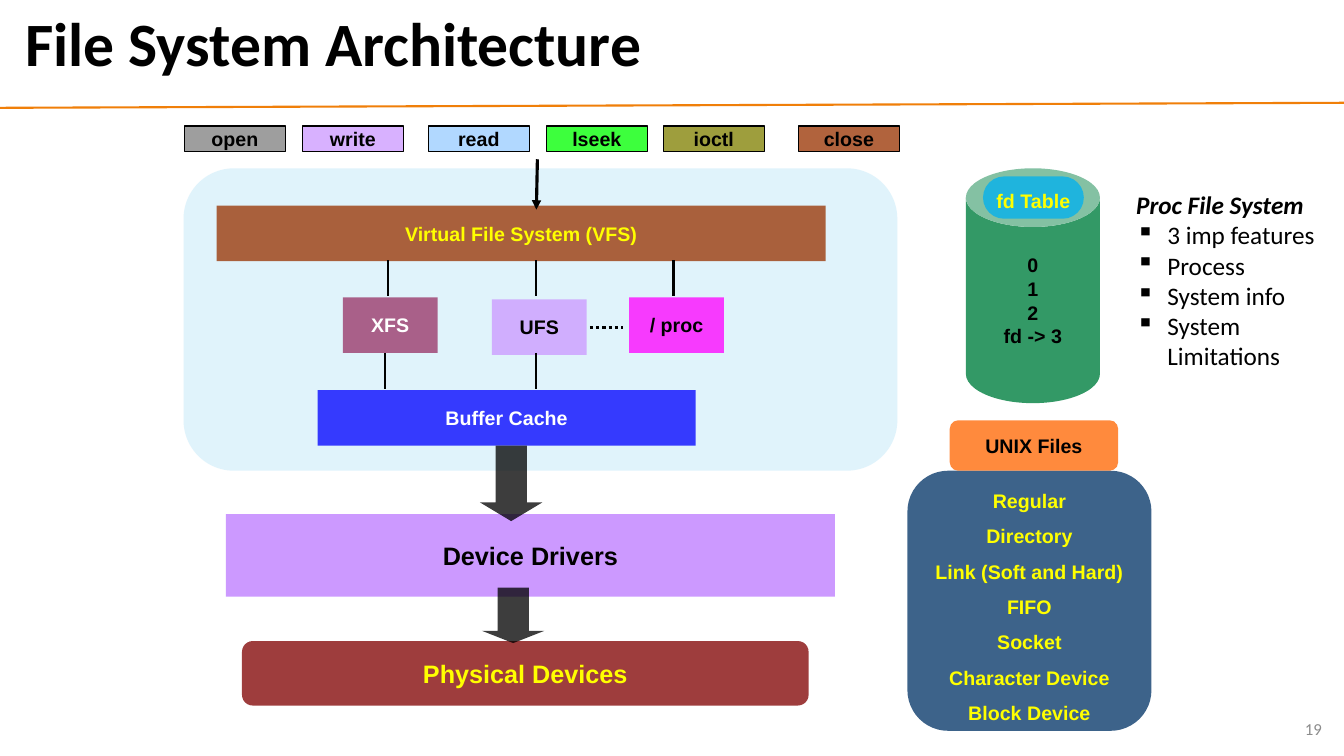
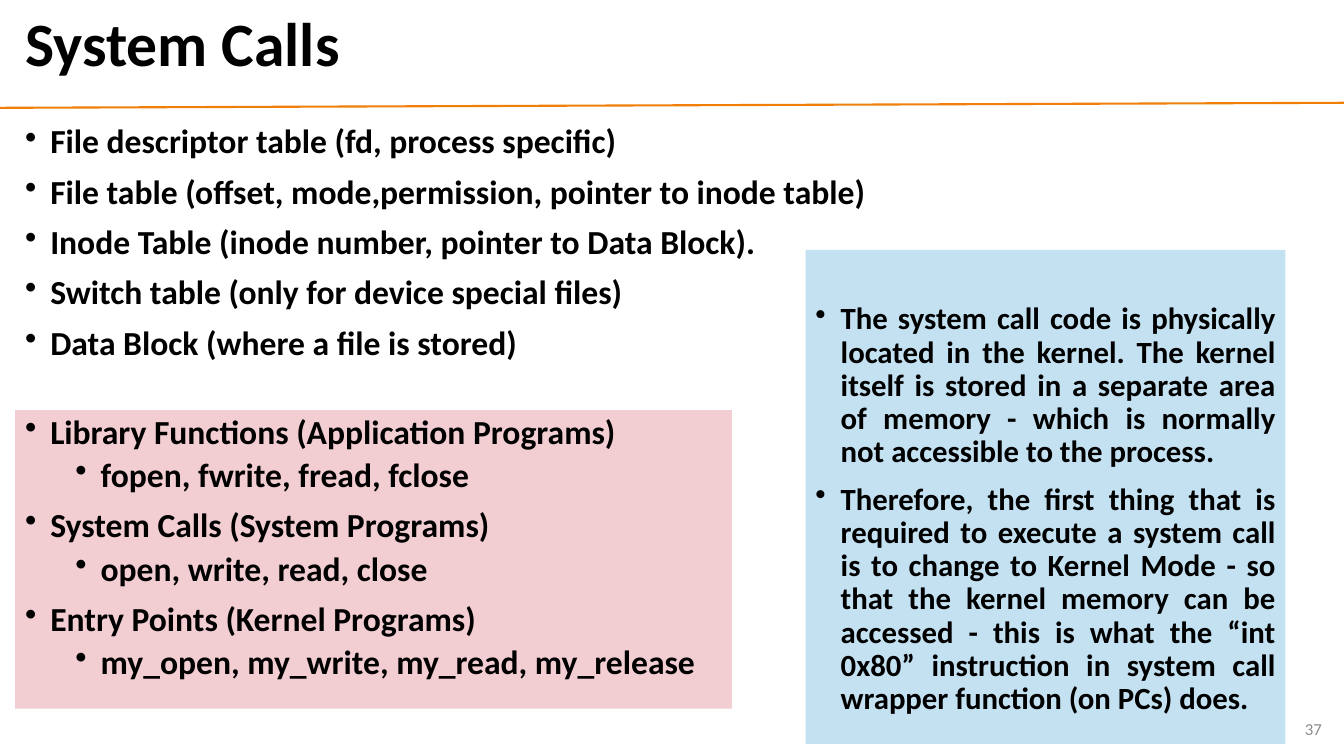
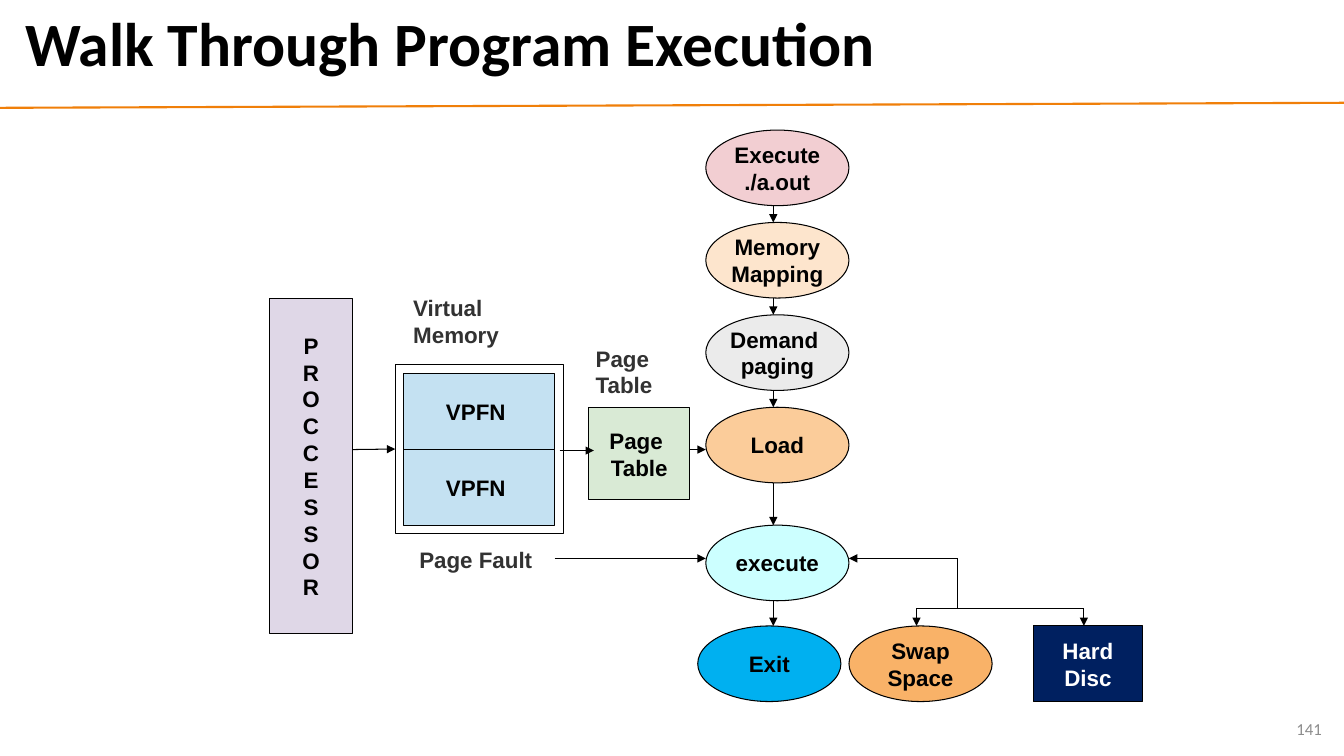
"""Builds three slides on file systems, system calls and program execution."""
from lxml import etree
from pptx import Presentation
from pptx.dml.color import RGBColor
from pptx.enum.dml import MSO_LINE
from pptx.enum.shapes import MSO_CONNECTOR, MSO_SHAPE
from pptx.enum.text import MSO_ANCHOR, MSO_AUTO_SIZE, PP_ALIGN
from pptx.oxml.ns import qn
from pptx.util import Inches, Pt

RECT, ROUND, OVAL = MSO_SHAPE.RECTANGLE, MSO_SHAPE.ROUNDED_RECTANGLE, MSO_SHAPE.OVAL
CAN, DOWN = MSO_SHAPE.CAN, MSO_SHAPE.DOWN_ARROW
STRAIGHT = MSO_CONNECTOR.STRAIGHT
LEFT, CENTER, RIGHT, JUSTIFY = PP_ALIGN.LEFT, PP_ALIGN.CENTER, PP_ALIGN.RIGHT, PP_ALIGN.JUSTIFY
TOP, MIDDLE = MSO_ANCHOR.TOP, MSO_ANCHOR.MIDDLE
NO_FIT = MSO_AUTO_SIZE.NONE
DOTTED = MSO_LINE.ROUND_DOT

WIDTH, HEIGHT = 13.33, 7.5
SEE_THROUGH = 76
COLORS = {
    "black": "000000", "white": "FFFFFF", "yellow": "FFFF00", "rule": "F07F09",
    "number": "8C8C8C", "label": "323232", "pale": "D7F0FB", "lilac": "CC99FF",
    "maroon": "800000", "brown": "993300", "blue": "0000FF", "plum": "993366",
    "magenta": "FF00FF", "navy": "003366", "orange": "FF6600", "green": "339966",
    "cyan": "00B0F0", "gray": "808080", "sky": "99CCFF", "lime": "00FF00",
    "olive": "808000", "rose": "F2CED2", "ice": "C4E1F2", "cream": "FDE5CD",
    "silver": "EBEBEB", "peach": "FBCC9A", "mint": "D9EAD5", "mauve": "DFD7E7",
    "aqua": "CCFFFF", "apricot": "F9B268", "midnight": "002060",
}

CALLS = [("open", 1.83, "gray"), ("write", 3, "lilac"), ("read", 4.25, "sky"),
         ("lseek", 5.42, "lime"), ("ioctl", 6.58, "olive"), ("close", 7.92, "brown")]
LAYERS = [
    (ROUND, (1.82, 1.67, 7.08, 3), "pale", SEE_THROUGH, None, None, 14),
    (RECT, (2.24, 5.1, 6.04, 0.82), "lilac", 100, "Device Drivers", "black", 18),
    (ROUND, (2.4, 6.36, 5.62, 0.64), "maroon", SEE_THROUGH, "Physical Devices", "yellow", 18),
    (RECT, (2.15, 2.04, 6.04, 0.55), "brown", SEE_THROUGH, "Virtual File System (VFS)", "yellow", 14),
    (RECT, (3.15, 3.87, 3.75, 0.55), "blue", SEE_THROUGH, "Buffer Cache", "white", 14),
    (RECT, (3.4, 2.95, 0.94, 0.55), "plum", SEE_THROUGH, "XFS", "white", 14),
    (RECT, (4.88, 2.97, 0.94, 0.55), "lilac", SEE_THROUGH, "UFS", "black", 14),
    (RECT, (6.24, 2.95, 0.94, 0.55), "magenta", SEE_THROUGH, "/ proc", "black", 14),
]
DOWN_ARROWS = [((4.76, 4.42, 0.62, 0.75), 0.3), ((4.78, 5.83, 0.62, 0.55), 0.25)]
LINKS = [((2.58, 2.94), (3.85, 5.32, 6.68)), ((3.5, 3.86), (3.82, 5.32))]
DESCRIPTORS = ["0", "1", "2", "fd -> 3"]
FILE_TYPES = ["Regular", "Directory", "Link (Soft and Hard)", "FIFO", "Socket",
              "Character Device", "Block Device"]
PROC_HEADING = "Proc File System"
PROC_FEATURES = ["3 imp features", "Process", "System info", "System Limitations"]

TABLES = [
    "File descriptor table (fd, process specific)",
    "File table (offset, mode,permission, pointer to inode table)",
    "Inode Table (inode number, pointer to Data Block).",
    "Switch table (only for device special files)",
    "Data Block (where a file is stored)",
]
FUNCTION_LEVELS = [
    ("Library Functions (Application Programs)", "fopen, fwrite, fread, fclose"),
    ("System Calls (System Programs)", "open, write, read, close"),
    ("Entry Points (Kernel Programs)", "my_open, my_write, my_read, my_release"),
]
KERNEL_NOTES = [
    "The system call code is physically located in the kernel. The kernel itself is stored "
    "in a separate area of memory - which is normally not accessible to the process.",
    "Therefore, the first thing that is required to execute a system call is to change to "
    "Kernel Mode - so that the kernel memory can be accessed - this is what the “int 0x80” "
    "instruction in system call wrapper function (on PCs) does.",
]

STAGE_W, STAGE_H, STAGE_X, STAGE_STEP = 1.42, 0.75, 7, 11 / 12
STAGES = [(["Execute", "./a.out"], "rose"), (["Memory", "Mapping"], "cream"),
          (["Demand ", "paging"], "silver"), (["Load"], "peach"),
          (["execute"], "aqua"), (["Exit"], "cyan")]
STAGE_TOPS = [1.29 + STAGE_STEP * row for row in range(4)] + [5.21, 6.21]
STAGE_LEFTS = [STAGE_X] * 5 + [6.92]
MEMORY_PARTS = [
    (RECT, (5.84, 4.04, 1, 0.92), "mint", ["Page ", "Table"], "black"),
    (RECT, (4, 3.71, 1.5, 0.75), "ice", ["VPFN "], "black"),
    (RECT, (4, 4.46, 1.5, 0.75), "ice", ["VPFN "], "black"),
    (RECT, (2.67, 2.96, 0.83, 3.33), "mauve", list("PROCCESSOR"), "black"),
    (OVAL, (8.42, 6.21, STAGE_W, STAGE_H), "apricot", ["Swap", "Space"], "black"),
    (RECT, (10.25, 6.21, 1.08, 0.75), "midnight", ["Hard", "Disc"], "white"),
]
MEMORY_LABELS = [((4, 2.87, 1.58, 0.64), ["Virtual", "Memory"]),
                 ((5.81, 3.37, 1.52, 0.64), ["Page", "Table"]),
                 ((4.06, 5.37, 1.52, 0.36), ["Page Fault"])]
FLOWS = [((5.55, 4.47), (5.89, 4.47), True), ((6.84, 4.46), (7, 4.46), True),
         ((5.5, 5.54), (7, 5.54), True), ((9.5, 5.54), (8.42, 5.54), True),
         ((9.5, 5.54), (9.5, 6.04), False), ((9.09, 6.04), (10.75, 6.04), False),
         ((9.09, 6.04), (9.09, 6.21), True), ((10.75, 6.04), (10.75, 6.21), True)]


def rgb(color):
    return RGBColor.from_string(COLORS[color])


def add_bullet(paragraph, char, left, hanging):
    properties = paragraph._p.get_or_add_pPr()
    properties.set("marL", str(Inches(left)))
    properties.set("indent", str(-Inches(hanging)))
    etree.SubElement(properties, qn("a:buChar")).set("char", char)


def write(shape, lines, anchor=MIDDLE, wrap=False, top_inset=0.05, **shared):
    """Fills a shape with lines, each a string or a (string, format) pair."""
    frame = shape.text_frame
    frame.auto_size = NO_FIT
    frame.word_wrap = wrap
    frame.vertical_anchor = anchor
    frame.margin_top = Inches(top_inset)
    for index, line in enumerate(lines):
        content, own = (line, {}) if isinstance(line, str) else line
        style = {"size": 14, "color": "black", "font": "Arial", "bold": True, "italic": False,
                 "align": CENTER, "spacing": 1.0, "before": 0, "level": 0, "bullet": None,
                 **shared, **own}
        paragraph = frame.paragraphs[0] if index == 0 else frame.add_paragraph()
        paragraph.level = style["level"]
        if style["bullet"]:
            add_bullet(paragraph, *style["bullet"])
        paragraph.alignment = style["align"]
        paragraph.line_spacing = style["spacing"]
        paragraph.space_before = Pt(style["before"] if index else 0)
        run = paragraph.add_run()
        run.text = content
        run.font.name, run.font.size = style["font"], Pt(style["size"])
        run.font.bold, run.font.italic = style["bold"], style["italic"]
        run.font.color.rgb = rgb(style["color"])


def add_block(slide, kind, box, fill=None, opacity=100, outline=False, adjust=()):
    block = slide.shapes.add_shape(kind, *map(Inches, box))
    block.shadow.inherit = False
    for index, value in enumerate(adjust):
        block.adjustments[index] = value
    if fill:
        block.fill.solid()
        block.fill.fore_color.rgb = rgb(fill)
        if opacity < 100:
            tint = block.fill._xPr.find(".//" + qn("a:srgbClr"))
            etree.SubElement(tint, qn("a:alpha")).set("val", str(opacity * 1000))
    else:
        block.fill.background()
    if outline:
        block.line.color.rgb = rgb("black")
        block.line.width = Pt(0.75)
    else:
        block.line.fill.background()
    return block


def add_textbox(slide, box, lines, **style):
    write(slide.shapes.add_textbox(*map(Inches, box)), lines, wrap=True, **style)


def add_line(slide, start, end, width=0.75, color="black", arrow=False, dash=None):
    line = slide.shapes.add_connector(STRAIGHT, *map(Inches, start + end))
    line.line.color.rgb = rgb(color)
    line.line.width = Pt(width)
    if dash:
        line.line.dash_style = dash
    if arrow:
        etree.SubElement(line.line._get_or_add_ln(), qn("a:tailEnd")).set("type", "triangle")
    etree.SubElement(line._element.spPr, qn("a:effectLst"))
    return line


def new_slide(deck, title, number):
    slide = deck.slides.add_slide(deck.slide_layouts[5])
    heading = slide.shapes.title
    heading.left, heading.top, heading.width, heading.height = map(Inches, (0.15, 0.05, 12.89, 0.83))
    write(heading, [title], wrap=True, size=44, font="Calibri", align=LEFT, spacing=0.9)
    add_line(slide, (0, 1.07), (WIDTH, 1.02), width=1.5, color="rule")
    add_textbox(slide, (10.21, 7.03, 3, 0.4), [number], size=12, font="Calibri",
                color="number", bold=False, align=RIGHT)
    return slide


def build_architecture(deck):
    slide = new_slide(deck, "File System Architecture", "19")
    for kind, box, fill, opacity, label, color, size in LAYERS:
        layer = add_block(slide, kind, box, fill, opacity)
        if label:
            write(layer, [label], color=color, size=size)
    for box, head in DOWN_ARROWS:
        add_block(slide, DOWN, box, "black", SEE_THROUGH, adjust=(0.5, box[2] * head / box[2] * box[3] / box[2]
                                                                  if box[3] < box[2] else head))
    add_line(slide, (5.33, 1.58), (5.32, 2.08), width=2.25, arrow=True)
    add_line(slide, (5.85, 3.25), (6.18, 3.25), width=2.25, dash=DOTTED)
    for (top, bottom), columns in LINKS:
        for x in columns:
            add_line(slide, (x, top), (x, bottom), width=1.5)
    for call, left, fill in CALLS:
        write(add_block(slide, RECT, (left, 1.25, 1, 0.25), fill, SEE_THROUGH, outline=True), [call])

    types = add_block(slide, ROUND, (9, 4.67, 2.42, 2.58), "navy", SEE_THROUGH)
    write(types, FILE_TYPES, color="yellow", spacing=1.5)
    write(add_block(slide, ROUND, (9.42, 4.17, 1.67, 0.5), "orange", SEE_THROUGH), ["UNIX Files"])
    store = add_block(slide, CAN, (9.58, 1.67, 1.33, 2.33), "green", adjust=(0.438,))
    write(store, DESCRIPTORS)
    add_block(slide, ROUND, (9.75, 1.75, 1, 0.42), "cyan", SEE_THROUGH, adjust=(0.5,))
    add_textbox(slide, (9.75, 1.83, 1, 0.33), ["fd Table"], anchor=TOP, color="yellow")

    feature = {"bold": False, "italic": False, "bullet": ("▪", 0.31, 0.31)}
    add_textbox(slide, (11.17, 1.83, 2.16, 1.92),
                [PROC_HEADING] + [(name, feature) for name in PROC_FEATURES],
                anchor=TOP, size=18, font="Calibri", italic=True, align=LEFT)


def build_system_calls(deck):
    slide = new_slide(deck, "System Calls", "37")
    body = {"anchor": TOP, "font": "Calibri", "spacing": 0.9, "before": 10,
            "bullet": ("•", 0.25, 0.25)}
    add_textbox(slide, (0.15, 1.19, 10.21, 2.75), TABLES, size=24, align=JUSTIFY, **body)
    nested = {"level": 1, "before": 5, "bullet": ("•", 0.75, 0.25)}
    levels = [line for group, names in FUNCTION_LEVELS for line in (group, (names, nested))]
    write(add_block(slide, RECT, (0.15, 4.07, 7.11, 2.96), "rose"), levels,
          wrap=True, size=24, align=LEFT, **body)
    write(add_block(slide, RECT, (7.99, 2.48, 4.76, 4.9), "ice"), KERNEL_NOTES,
          wrap=True, size=22, align=JUSTIFY, top_inset=0.53, **body)


def build_execution(deck):
    slide = new_slide(deck, "Walk Through Program Execution", "141")
    for (lines, fill), left, top in zip(STAGES, STAGE_LEFTS, STAGE_TOPS):
        stage = add_block(slide, OVAL, (left, top, STAGE_W, STAGE_H), fill, outline=True)
        write(stage, lines, size=16)
    for top, following in zip(STAGE_TOPS, STAGE_TOPS[1:]):
        add_line(slide, (7.67, top + STAGE_H), (7.67, following), arrow=True)
    for kind, box, fill, lines, color in MEMORY_PARTS:
        write(add_block(slide, kind, box, fill, outline=True), lines, size=16, color=color)
    for box, lines in MEMORY_LABELS:
        add_textbox(slide, box, lines, anchor=TOP, size=16, color="label", align=LEFT)
    for start, end, arrow in FLOWS:
        add_line(slide, start, end, arrow=arrow)
    virtual_memory = add_block(slide, RECT, (3.92, 3.62, 1.67, 1.67), outline=True)
    add_line(slide, (3.5, 4.46), (3.92, 4.46), arrow=True).end_connect(virtual_memory, 1)


def main():
    deck = Presentation()
    deck.slide_width, deck.slide_height = Inches(WIDTH), Inches(HEIGHT)
    build_architecture(deck)
    build_system_calls(deck)
    build_execution(deck)
    deck.save("out.pptx")


if __name__ == "__main__":
    main()
